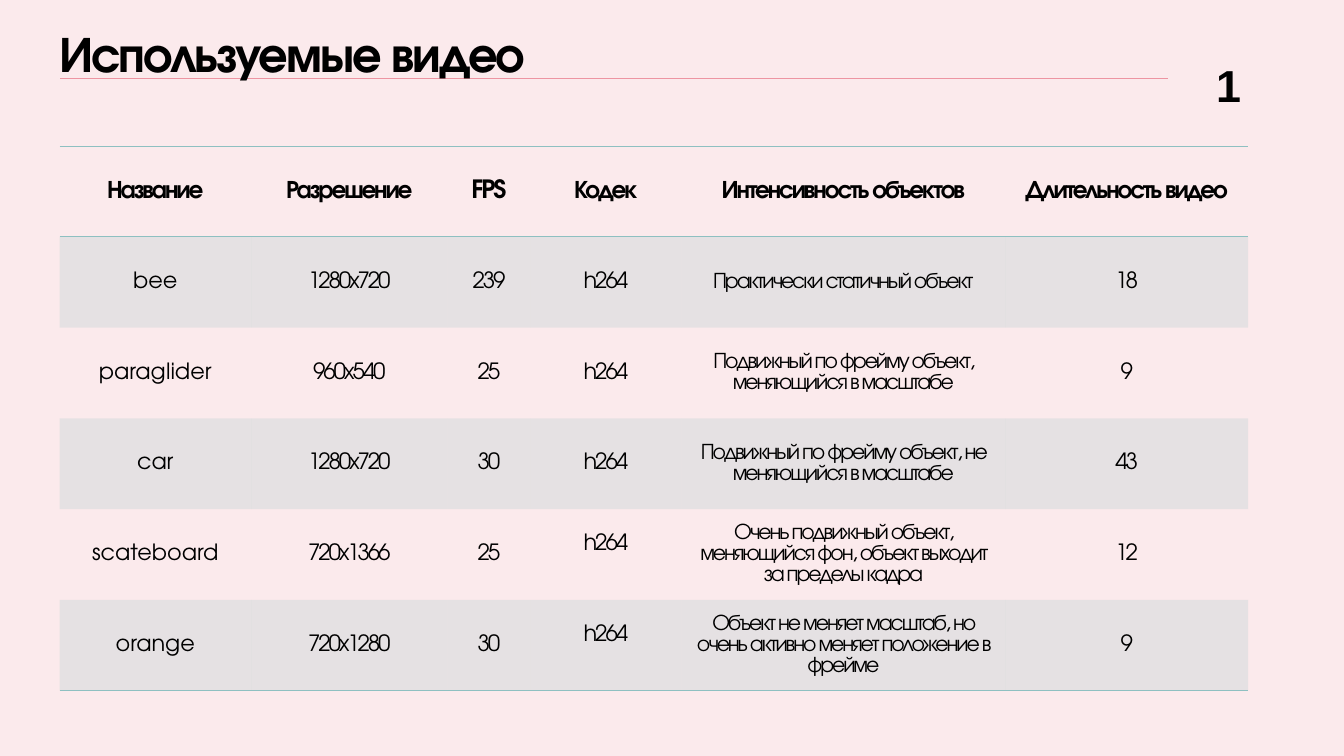
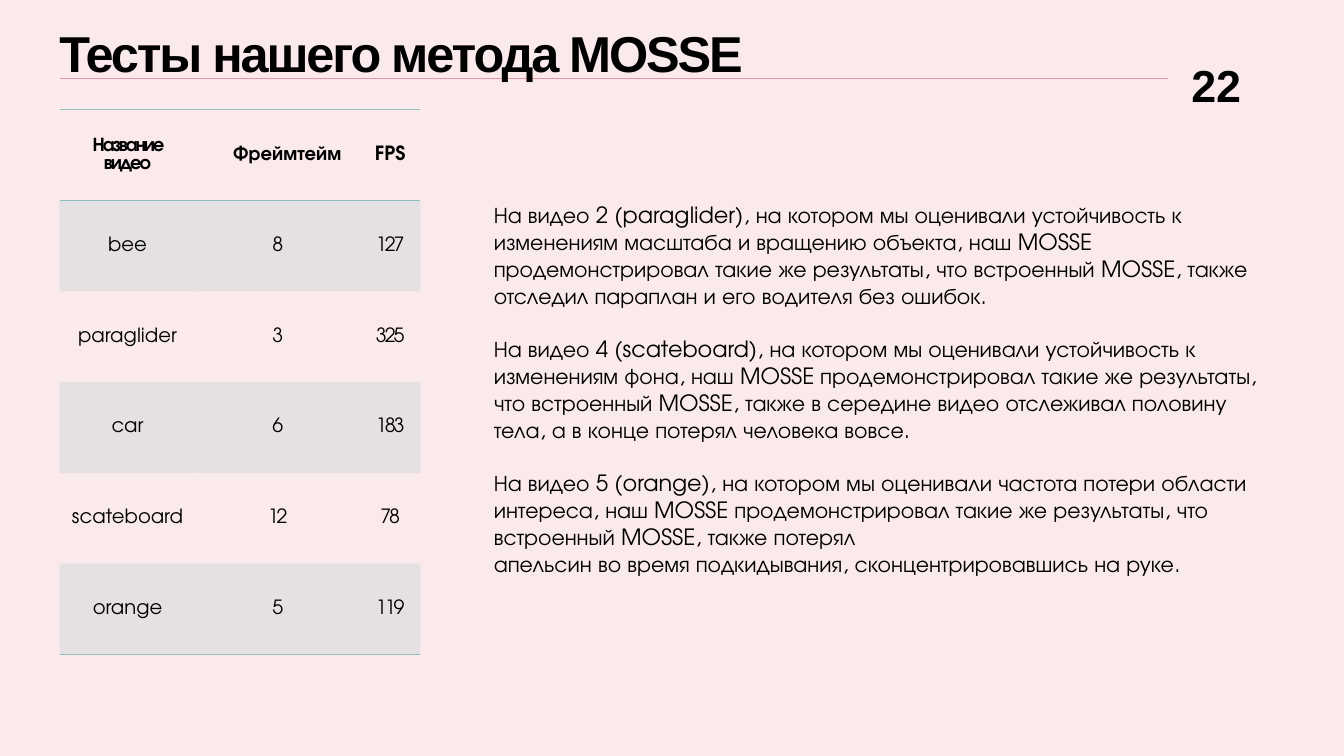
from lxml import etree
from pptx import Presentation
from pptx.dml.color import RGBColor
from pptx.enum.shapes import MSO_CONNECTOR
from pptx.enum.text import MSO_ANCHOR, PP_ALIGN
from pptx.oxml.ns import qn
from pptx.util import Inches, Pt

COLORS = {"background": "FBEAEC", "rule": "ED95A2", "table": "8EC0C1", "text": "000000"}
HEAD_FONT, BODY_FONT = "Arial", "TeX Gyre Adventor"
LEFT, CENTER, RIGHT = PP_ALIGN.LEFT, PP_ALIGN.CENTER, PP_ALIGN.RIGHT
MIDDLE = MSO_ANCHOR.MIDDLE
STRAIGHT = MSO_CONNECTOR.STRAIGHT
PLAIN_TABLE = "{2D5ABB26-0587-4C30-8999-92F81FD0307C}"
ROW_HEIGHT = 0.9
TIGHT = -150

SLIDES = [
    {
        "title": "Используемые видео", "title_font": BODY_FONT, "number": "1",
        "top": 1.45, "columns": [1.9, 1.95, 0.82, 1.5, 3.21, 2.41],
        "sizes": (18, 16), "loose": [],
        "rows": [
            ["Название", "Разрешение", "FPS", "Кодек", "Интенсивность объектов",
             "Длительность видео"],
            ["bee", "1280x720", "239", "h264", "Практически статичный объект", "18"],
            ["paraglider", "960x540", "25", "h264",
             "Подвижный по фрейму объект, меняющийся в масштабе", "9"],
            ["car", "1280x720", "30", "h264",
             "Подвижный по фрейму объект, не меняющийся в масштабе", "43"],
            ["scateboard", "720x1366", "25", "h264",
             "Очень подвижный объект, меняющийся фон, объект выходит за пределы кадра", "12"],
            ["orange", "720x1280", "30", "h264",
             "Объект не меняет масштаб, но очень активно меняет положение в фрейме", "9"],
        ],
        "raised": [(4, 3), (5, 3)],
        "findings": [],
    },
    {
        "title": "Тесты нашего метода MOSSE", "title_font": HEAD_FONT, "number": "22",
        "top": 1.09, "columns": [1.35, 1.63, 0.6],
        "sizes": (14, 14), "loose": ["Фреймтейм", "FPS"],
        "rows": [
            ["Название видео", "Фреймтейм", "FPS"],
            ["bee", "8", "127"],
            ["paraglider", "3", "325"],
            ["car", "6", "183"],
            ["scateboard", "12", "78"],
            ["orange", "5", "119"],
        ],
        "raised": [],
        "findings": [
            "На видео 2 (paraglider), на котором мы оценивали устойчивость к изменениям "
            "масштаба и вращению объекта, наш MOSSE продемонстрировал такие же результаты, "
            "что встроенный MOSSE, также отследил параплан и его водителя без ошибок.",
            "На видео 4 (scateboard), на котором мы оценивали устойчивость к изменениям "
            "фона, наш MOSSE продемонстрировал такие же результаты, что встроенный MOSSE, "
            "также в середине видео отслеживал половину тела, а в конце потерял человека вовсе.",
            "На видео 5 (orange), на котором мы оценивали частота потери области интереса, "
            "наш MOSSE продемонстрировал такие же результаты, что встроенный MOSSE, "
            "также потерял\nапельсин во время подкидывания, сконцентрировавшись на руке.",
        ],
    },
]


def write(paragraph, text, size, font, bold=False, align=LEFT, spacing=0):
    """Fill a paragraph; spacing is between letters, in hundredths of a point."""
    paragraph.text = text
    paragraph.alignment = align
    paragraph.font.size = Pt(size)
    paragraph.font.name = font
    paragraph.font.bold = bold
    paragraph.font.color.rgb = RGBColor.from_string(COLORS["text"])
    if spacing:
        for run in paragraph.runs:
            run.font.size = Pt(size)
            run.font._element.set("spc", str(spacing))


def style_cell(cell, edges, shaded):
    """Draw the given edges (lnT, lnB) and the translucent band."""
    if shaded:
        cell.fill.solid()
        cell.fill.fore_color.rgb = RGBColor.from_string(COLORS["table"])
        color = cell._tc.tcPr.find(".//" + qn("a:srgbClr"))
        etree.SubElement(color, qn("a:alpha"), val="20000")
    else:
        cell.fill.background()
    for position, edge in enumerate(edges):
        line = etree.Element(qn("a:" + edge), w=str(Pt(1)))
        fill = etree.SubElement(line, qn("a:solidFill"))
        etree.SubElement(fill, qn("a:srgbClr"), val=COLORS["table"])
        cell._tc.tcPr.insert(position, line)


prs = Presentation()
prs.slide_width, prs.slide_height = Inches(13.33), Inches(7.5)

for content in SLIDES:
    slide = prs.slides.add_slide(prs.slide_layouts[6])
    slide.background.fill.solid()
    slide.background.fill.fore_color.rgb = RGBColor.from_string(COLORS["background"])

    rule = slide.shapes.add_connector(
        STRAIGHT, Inches(0.6), Inches(0.78), Inches(11.58), Inches(0.78))
    rule.line.color.rgb = RGBColor.from_string(COLORS["rule"])
    rule.line.width = Pt(0.75)
    etree.SubElement(rule._element.spPr, qn("a:effectLst"))

    title = slide.shapes.add_textbox(
        Inches(0.59), Inches(0.24), Inches(10.97), Inches(0.64)).text_frame
    title.word_wrap = True
    title.margin_left = 0
    title.vertical_anchor = MIDDLE
    write(title.paragraphs[0], content["title"], 36, content["title_font"], True, LEFT, TIGHT)
    title.paragraphs[0].line_spacing = 0.9

    number = slide.shapes.add_textbox(
        Inches(11.31), Inches(0.57), Inches(1), Inches(0.53)).text_frame
    number.word_wrap = True
    number.margin_left = number.margin_right = number.margin_top = number.margin_bottom = 0
    write(number.paragraphs[0], content["number"], 32, HEAD_FONT, True, RIGHT)

    rows, columns = content["rows"], content["columns"]
    frame = slide.shapes.add_table(
        len(rows), len(columns), Inches(0.59), Inches(content["top"]),
        Inches(sum(columns)), Inches(ROW_HEIGHT * len(rows)))
    table = frame.table
    table.first_row = table.horz_banding = False
    table._tbl.tblPr.find(qn("a:tableStyleId")).text = PLAIN_TABLE
    for column, width in zip(table.columns, columns):
        column.width = Inches(width)
    for r, row in enumerate(rows):
        table.rows[r].height = Inches(ROW_HEIGHT)
        header = r == 0
        edges = ["lnT", "lnB"] if header else ["lnB"] if r == len(rows) - 1 else []
        for c, text in enumerate(row):
            cell = table.cell(r, c)
            cell.vertical_anchor = MIDDLE
            if (r, c) in content["raised"]:
                cell.margin_bottom = Inches(0.25)
            loose = text in content["loose"] or (c == 0 and not header)
            write(cell.text_frame.paragraphs[0], text, content["sizes"][0 if header else 1],
                  BODY_FONT, header, CENTER, 0 if loose else TIGHT)
            if text == "Фреймтейм":
                cell.margin_left = Inches(0.29)
            style_cell(cell, edges, r % 2 == 1)

    if content["findings"]:
        findings = slide.shapes.add_textbox(
            Inches(4.8), Inches(1.95), Inches(7.9), Inches(3.87)).text_frame
        findings.word_wrap = True
        for i, text in enumerate(content["findings"]):
            paragraph = findings.paragraphs[0] if i == 0 else findings.add_paragraph()
            write(paragraph, text, 16, BODY_FONT)
            if i:
                paragraph.space_before = Pt(19)

prs.save("out.pptx")
